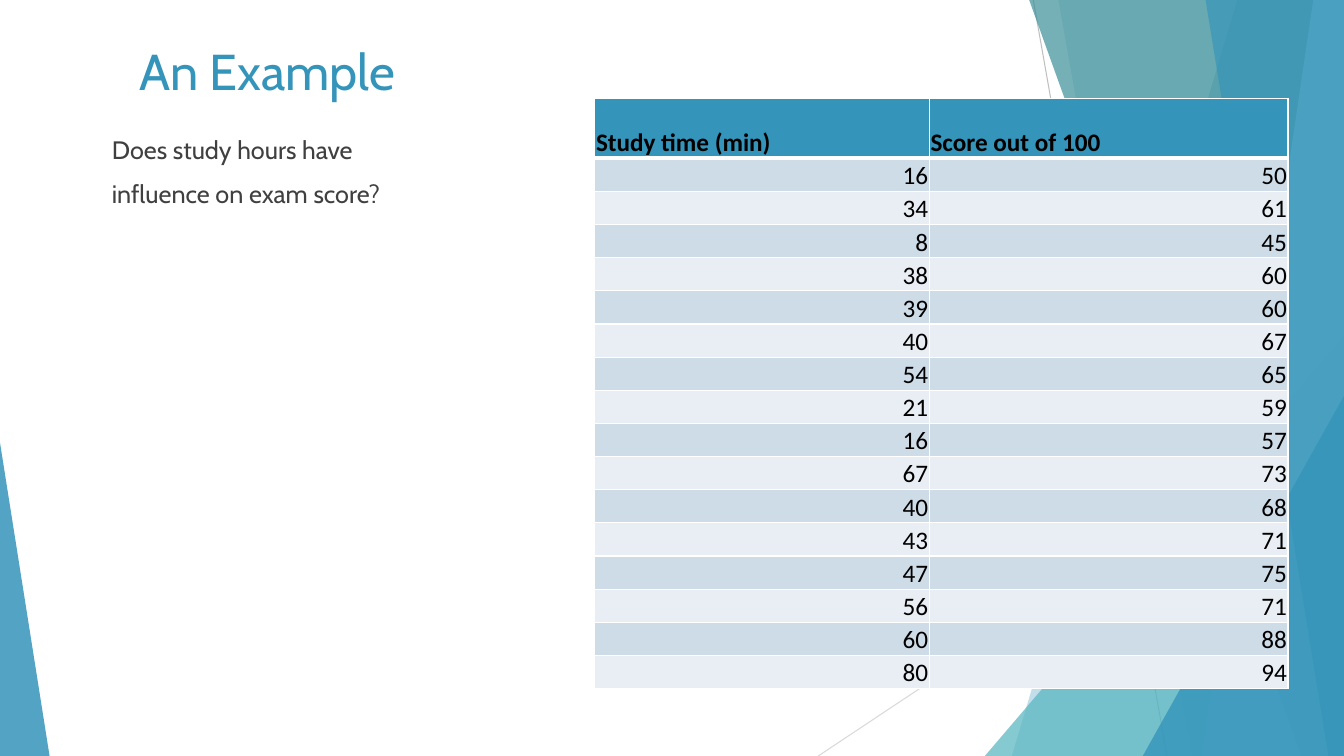
from lxml.etree import SubElement
from pptx import Presentation
from pptx.dml.color import RGBColor
from pptx.enum.shapes import MSO_CONNECTOR, MSO_SHAPE
from pptx.enum.text import MSO_ANCHOR, MSO_AUTO_SIZE, PP_ALIGN
from pptx.oxml.ns import qn
from pptx.util import Cm, Pt

# Content
TITLE = "An Example"
QUESTION = ["Does study hours have", "influence on exam score?"]
HEADERS = ("Study time (min)", "Score out of 100")
RESULTS = [
    (16, 50), (34, 61), (8, 45), (38, 60), (39, 60), (40, 67), (54, 65), (21, 59),
    (16, 57), (67, 73), (40, 68), (43, 71), (47, 75), (56, 71), (60, 88), (80, 94),
]

# Colours and fonts
BLUE = RGBColor(0x34, 0x94, 0xBA)
PALE_BLUE = RGBColor(0x7F, 0xC1, 0xDB)
TEAL = RGBColor(0x58, 0xB6, 0xC0)
DARK_TEAL = RGBColor(0x3A, 0x8F, 0x98)
GREY = RGBColor(0xBF, 0xBF, 0xBF)
LIGHT_GREY = RGBColor(0xD9, 0xD9, 0xD9)
TEXT_GREY = RGBColor(0x40, 0x40, 0x40)
BLACK = RGBColor(0, 0, 0)
WHITE = RGBColor(0xFF, 0xFF, 0xFF)
ROW_FILLS = (RGBColor(0xCE, 0xDC, 0xE7), RGBColor(0xE8, 0xEE, 0xF3))
TEXT_FONT, TABLE_FONT = "Cabin", "Calibri"

# Layout, in centimetres
SLIDE_W, SLIDE_H = 33.87, 19.05
BAND_TOP = -0.02
TABLE_LEFT, TABLE_TOP, TABLE_H = 14.99, 2.49, 14.86
COLUMN_WIDTHS = (8.43, 9.04)
HEADER_H = 1.5

# Decoration from back to front
RAYS = [  # x1, y1, x2, y2, colour
    (26.04, 0, 29.41, SLIDE_H, GREY),
    (SLIDE_W, 10.24, 20.62, SLIDE_H, LIGHT_GREY),
]
FACETS = [  # band: top x, bottom x; triangle: left, top, width, apex; then colour, opacity
    ("band", (31.19, 25.5), BLUE, 30),
    ("band", (26.67, 30.05), BLUE, 20),
    ("triangle", (24.82, 8.46, 9.05, 1), TEAL, 72),
    ("band", (25.93, 32.79), DARK_TEAL, 70),
    ("band", (33.1, 30.28), PALE_BLUE, 70),
    ("band", (30.38, 33.48), BLUE, 65),
    ("triangle", (28.8, 9.98, 5.07, 1), BLUE, 80),
    ("triangle", (0, 11.15, 1.25, 0), BLUE, 85),
]


def add_ray(page, x1, y1, x2, y2, colour):
    ray = page.shapes.add_connector(MSO_CONNECTOR.STRAIGHT, Cm(x1), Cm(y1), Cm(x2), Cm(y2))
    ray.line.color.rgb = colour
    ray.line.width = Pt(0.75)
    SubElement(ray.element.spPr, qn("a:effectLst"))


def add_band(page, top_x, bottom_x):
    builder = page.shapes.build_freeform(Cm(top_x), Cm(BAND_TOP))
    corners = [(SLIDE_W, BAND_TOP), (SLIDE_W, SLIDE_H), (bottom_x, SLIDE_H)]
    builder.add_line_segments([(Cm(x), Cm(y)) for x, y in corners], close=True)
    return builder.convert_to_shape()


def add_triangle(page, left, top, width, apex):
    triangle = page.shapes.add_shape(
        MSO_SHAPE.ISOSCELES_TRIANGLE, Cm(left), Cm(top), Cm(width), Cm(SLIDE_H - top))
    triangle.adjustments[0] = apex
    return triangle


def paint(shape, colour, opacity):
    shape.shadow.inherit = False
    shape.line.fill.background()
    shape.fill.solid()
    shape.fill.fore_color.rgb = colour
    fill_colour = shape.element.spPr.find(qn("a:solidFill")).find(qn("a:srgbClr"))
    SubElement(fill_colour, qn("a:alpha"), val=str(opacity * 1000))


def add_span(para, text, font, size, colour, bold=False):
    span = para.add_run()
    span.text = text
    span.font.name = font
    span.font.size = Pt(size)
    span.font.bold = bold
    span.font.color.rgb = colour


def add_borders(cell, bottom_width):
    properties = cell._tc.get_or_add_tcPr()
    for side, width in (("L", 1), ("R", 1), ("T", 1), ("B", bottom_width)):
        border = SubElement(properties, qn(f"a:ln{side}"), w=str(Pt(width)))
        fill = SubElement(border, qn("a:solidFill"))
        SubElement(fill, qn("a:srgbClr"), val=str(WHITE))


def fill_cell(cell, text, is_header, colour):
    add_borders(cell, 3 if is_header else 1)
    cell.fill.solid()
    cell.fill.fore_color.rgb = colour
    cell.vertical_anchor = MSO_ANCHOR.BOTTOM
    cell.margin_left = cell.margin_right = cell.margin_top = Cm(0.03)
    cell.margin_bottom = 0
    para = cell.text_frame.paragraphs[0]
    para.alignment = PP_ALIGN.LEFT if is_header else PP_ALIGN.RIGHT
    add_span(para, text, TABLE_FONT, 18, BLACK, is_header)


def add_results(page):
    rows = [HEADERS] + RESULTS
    table = page.shapes.add_table(
        len(rows), len(HEADERS), Cm(TABLE_LEFT), Cm(TABLE_TOP),
        Cm(sum(COLUMN_WIDTHS)), Cm(TABLE_H)).table
    for column, width in zip(table.columns, COLUMN_WIDTHS):
        column.width = Cm(width)
    for r, values in enumerate(rows):
        is_header = r == 0
        height = HEADER_H if is_header else (TABLE_H - HEADER_H) / len(RESULTS)
        table.rows[r].height = Cm(height)
        colour = BLUE if is_header else ROW_FILLS[(r - 1) % 2]
        for c, value in enumerate(values):
            fill_cell(table.cell(r, c), str(value), is_header, colour)


def main():
    deck = Presentation()
    deck.slide_width, deck.slide_height = Cm(SLIDE_W), Cm(SLIDE_H)
    page = deck.slides.add_slide(deck.slide_layouts[5])

    # Background decoration
    for ray in RAYS:
        add_ray(page, *ray)
    for kind, geometry, colour, opacity in FACETS:
        add_facet = add_band if kind == "band" else add_triangle
        paint(add_facet(page, *geometry), colour, opacity)

    # Title, brought in front of the decoration
    title = page.shapes.title
    page.shapes.element.append(title.element)
    title.left, title.top, title.width, title.height = Cm(3.25), Cm(0.79), Cm(27.74), Cm(1.98)
    title.text_frame.auto_size = MSO_AUTO_SIZE.NONE
    title.text_frame.vertical_anchor = MSO_ANCHOR.MIDDLE
    para = title.text_frame.paragraphs[0]
    para.alignment = PP_ALIGN.LEFT
    add_span(para, TITLE, TEXT_FONT, 36, BLUE)

    # Question
    box = page.shapes.add_textbox(Cm(2.57), Cm(3.25), Cm(25.7), Cm(15.8))
    frame = box.text_frame
    frame.word_wrap = True
    for i, line in enumerate(QUESTION):
        para = frame.add_paragraph() if i else frame.paragraphs[0]
        para.space_before = Pt(10)
        add_span(para, line, TEXT_FONT, 18, TEXT_GREY)

    # Table of results
    add_results(page)
    deck.save("out.pptx")


if __name__ == "__main__":
    main()
